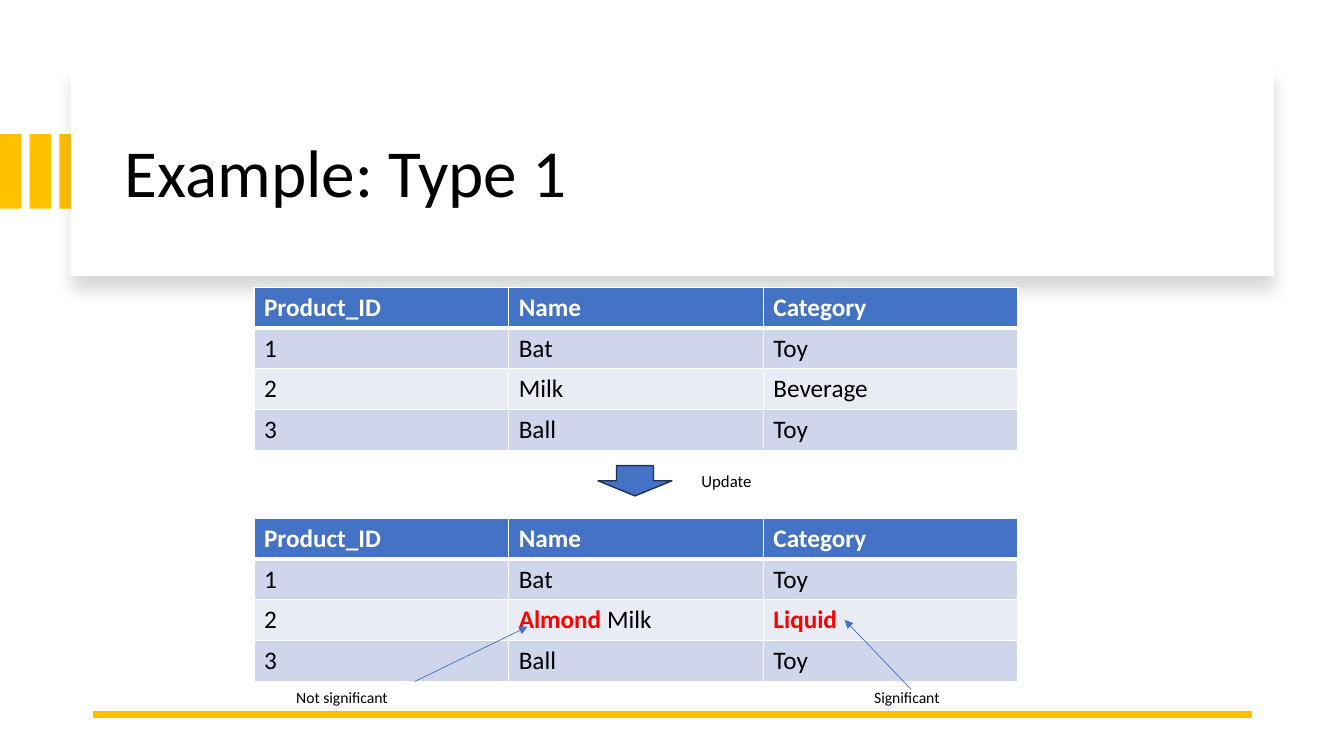
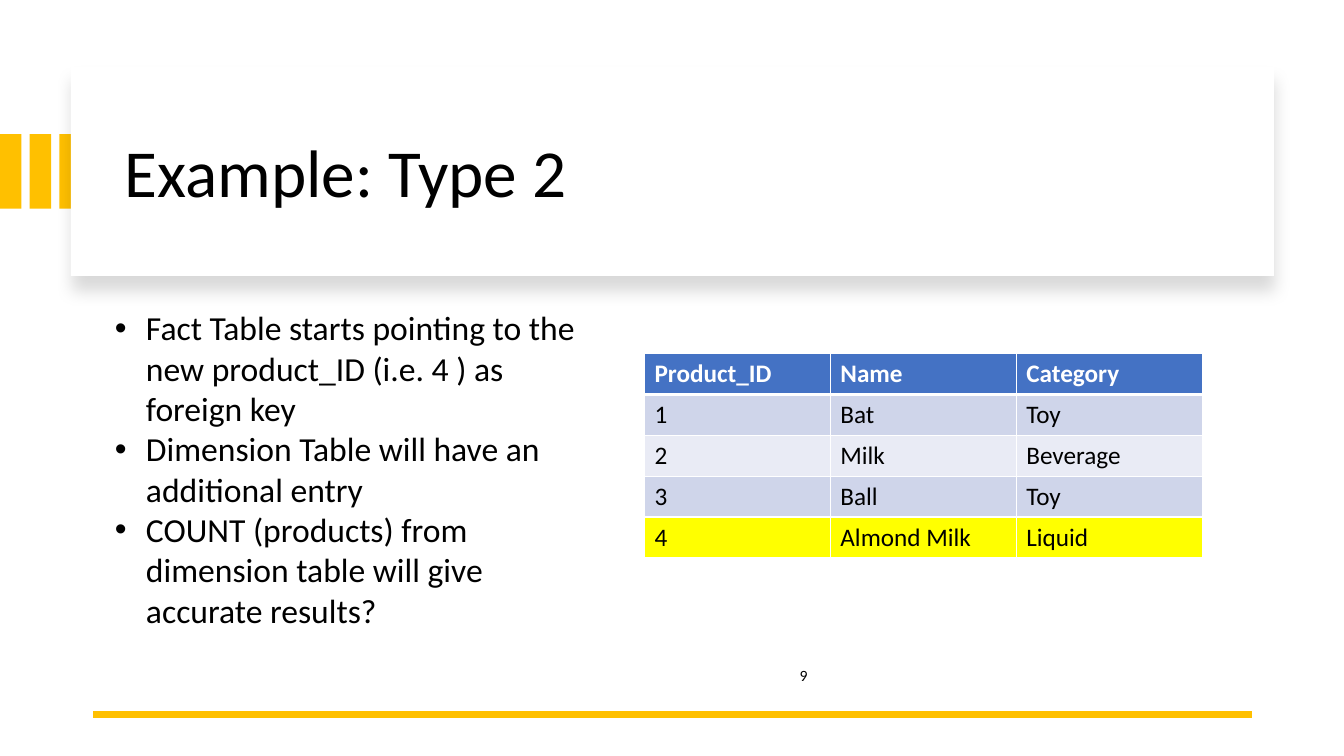
from dataclasses import dataclass
from typing import Any, NamedTuple

from lxml import etree
from pptx import Presentation
from pptx import util as u
from pptx.dml.color import RGBColor
from pptx.enum import shapes, text
from pptx.oxml import ns

WIDTH, HEIGHT = u.Inches(13.33), u.Inches(7.5)
FONT = "Calibri"
BLACK, WHITE, RED, YELLOW = "000000", "FFFFFF", "FF0000", "FFFF00"
GOLD, BLUE, NAVY = "FFC000", "4472C4", "1E3256"
BANDS = ("CFD5EA", "E9EBF5")
ROW_HEIGHT = 5.4
CAPTION_SIZE = 11.2


class Point(NamedTuple):
    """A place in percent of the slide's width and height."""
    x: float
    y: float


class Box(NamedTuple):
    """A frame in percent of the slide's width and height."""
    left: float
    top: float
    width: float
    height: float


@dataclass(frozen=True)
class Run:
    text: str
    color: str = BLACK
    bold: bool = False


@dataclass(frozen=True)
class Label:
    text: str
    box: Box
    size: float = CAPTION_SIZE


@dataclass(frozen=True)
class Pointer:
    start: Point
    end: Point


Cell = str | tuple[Run, ...]
Row = tuple[Cell, ...]

HEADER: Row = ("Product_ID", "Name", "Category")
BAT: Row = ("1", "Bat", "Toy")
MILK: Row = ("2", "Milk", "Beverage")
BALL: Row = ("3", "Ball", "Toy")
UPDATED_MILK: Row = (
    "2",
    (Run("Almond ", RED, True), Run("Milk")),
    (Run("Liquid", RED, True),),
)
ADDED_MILK: Row = ("4", "Almond Milk", "Liquid")

BULLETS = (
    "Fact Table starts pointing to the new product_ID (i.e. 4 ) as  foreign key",
    "Dimension Table will have an additional entry",
    "COUNT (products) from dimension table will give accurate results?",
)
LABELS = (
    Label("Not significant", Box(21.3, 90.3, 10.4, 3.9)),
    Label("Significant", Box(64.3, 90.3, 10.4, 3.9)),
    Label("Update", Box(51.45, 61.6, 9.15, 4), 12),
)
POINTERS = (
    Pointer(Point(30.85, 90.15), Point(39.25, 82.9)),
    Pointer(Point(67.8, 91.2), Point(62.85, 82)),
)


def rgb(color: str) -> RGBColor:
    return RGBColor.from_string(color)


def across(share: float) -> int:
    return round(WIDTH * share / 100)


def down(share: float) -> int:
    return round(HEIGHT * share / 100)


def place(box: Box) -> tuple[int, int, int, int]:
    return across(box.left), down(box.top), across(box.width), down(box.height)


def apply(target: Any, values: dict[str, Any]) -> None:
    for name, value in values.items():
        setattr(target, name, value)


def add_child(parent: Any, tag: str, **attributes: Any) -> Any:
    values = {name: str(value) for name, value in attributes.items()}
    return etree.SubElement(parent, ns.qn(f"a:{tag}"), values)


def paint(fill: Any, color: str) -> None:
    fill.solid()
    fill.fore_color.rgb = rgb(color)


def write(paragraph: Any, content: Cell, size: float,
          color: str = BLACK, bold: bool = False) -> None:
    pieces = (Run(content, color, bold),) if isinstance(content, str) else content
    for piece in pieces:
        run = paragraph.add_run()
        run.text = piece.text
        apply(run.font, {"name": FONT, "size": u.Pt(size), "bold": piece.bold})
        run.font.color.rgb = rgb(piece.color)


def add_shape(slide: Any, kind: shapes.MSO_SHAPE, box: Box, fill: str,
              outline: str | None = None) -> Any:
    shape = slide.shapes.add_shape(kind, *place(box))
    shape.shadow.inherit = False
    paint(shape.fill, fill)
    if outline:
        paint(shape.line.fill, outline)
        shape.line.width = u.Pt(1)
    else:
        shape.line.fill.background()
    return shape


def add_text(slide: Any, box: Box, lines: tuple[str, ...], size: float,
             anchor: text.MSO_ANCHOR = text.MSO_ANCHOR.TOP,
             **spacing: Any) -> Any:
    frame = slide.shapes.add_textbox(*place(box)).text_frame
    apply(frame, {"word_wrap": True, "vertical_anchor": anchor})
    for index, line in enumerate(lines):
        paragraph = frame.add_paragraph() if index else frame.paragraphs[0]
        apply(paragraph, spacing)
        write(paragraph, line, size)
    return frame


def add_line(slide: Any, start: Point, end: Point, color: str, width: float,
             arrow: bool = False) -> None:
    line = slide.shapes.add_connector(
        shapes.MSO_CONNECTOR.STRAIGHT,
        across(start.x), down(start.y), across(end.x), down(end.y))
    paint(line.line.fill, color)
    line.line.width = u.Pt(width)
    if arrow:
        add_child(line.line._get_or_add_ln(), "tailEnd", type="triangle")
    add_child(line._element.spPr, "effectLst")


def add_borders(cell: Any, bottom: float) -> None:
    properties = cell._tc.get_or_add_tcPr()
    for side, width in {"L": 1, "R": 1, "T": 1, "B": bottom}.items():
        border = add_child(properties, f"ln{side}", w=u.Pt(width))
        add_child(add_child(border, "solidFill"), "srgbClr", val=WHITE)


def add_product_table(slide: Any, left: float, top: float, width: float,
                      rows: tuple[Row, ...], highlight: Row | None = None) -> None:
    box = Box(left, top, width, ROW_HEIGHT * (len(rows) + 1))
    table = slide.shapes.add_table(len(rows) + 1, len(HEADER), *place(box)).table
    for row_index, row in enumerate((HEADER, *rows)):
        is_header = row_index == 0
        fill = BLUE if is_header else BANDS[(row_index - 1) % 2]
        if row is highlight:
            fill = YELLOW
        for column_index, content in enumerate(row):
            cell = table.cell(row_index, column_index)
            add_borders(cell, 3 if is_header else 1)
            paint(cell.fill, fill)
            write(cell.text_frame.paragraphs[0], content, 18,
                  WHITE if is_header else BLACK, is_header)


def add_panel(slide: Any) -> None:
    """Add the white title panel with its soft shadow below."""
    panel = add_shape(slide, shapes.MSO_SHAPE.RECTANGLE,
                      Box(5.28, 8.9, 89.5, 27.6), WHITE)
    effects = panel._element.spPr.find(ns.qn("a:effectLst"))
    shadow = add_child(effects, "outerShdw", blurRad=u.Pt(11), dist=u.Pt(10),
                       dir=90 * 60000, algn="t", rotWithShape=0)
    color = add_child(shadow, "srgbClr", val=BLACK)
    add_child(color, "alpha", val=15000)


def add_base_slide(presentation: Any, title: str) -> Any:
    slide = presentation.slides.add_slide(presentation.slide_layouts[6])
    paint(slide.background.fill, WHITE)
    for index in range(3):
        add_shape(slide, shapes.MSO_SHAPE.RECTANGLE,
                  Box(2.21 * index, 17.75, 1.6, 9.85), GOLD)
    add_panel(slide)
    add_text(slide, Box(8.55, 11.87, 83.5, 22.67), (title,), 48,
             text.MSO_ANCHOR.MIDDLE, line_spacing=0.9)
    add_line(slide, Point(93.15, 94.5), Point(6.9, 94.5), GOLD, 4.5)
    return slide


def add_bullets(slide: Any, box: Box, lines: tuple[str, ...]) -> None:
    indent = u.Inches(0.31)
    for paragraph in add_text(slide, box, lines, 24).paragraphs:
        properties = paragraph._p.get_or_add_pPr()
        properties.set("marL", str(indent))
        properties.set("indent", str(-indent))
        add_child(properties, "buFont", typeface="Arial")
        add_child(properties, "buChar", char="•")


def add_overwrite_slide(presentation: Any) -> None:
    slide = add_base_slide(presentation, "Example: Type 1")
    add_product_table(slide, 18.9, 38, 56.85, (BAT, MILK, BALL))
    add_product_table(slide, 18.9, 68.55, 56.85, (BAT, UPDATED_MILK, BALL))
    for pointer in POINTERS:
        add_line(slide, pointer.start, pointer.end, BLUE, 0.5, arrow=True)
    add_shape(slide, shapes.MSO_SHAPE.DOWN_ARROW,
              Box(44.5, 61.6, 5.5, 4), BLUE, NAVY)
    for label in LABELS:
        add_text(slide, label.box, (label.text,), label.size,
                 space_after=u.Pt(6))


def add_new_row_slide(presentation: Any) -> None:
    slide = add_base_slide(presentation, "Example: Type 2")
    add_product_table(slide, 47.95, 46.8, 41.5,
                      (BAT, MILK, BALL, ADDED_MILK), highlight=ADDED_MILK)
    add_text(slide, Box(58.75, 87.45, 14, 3.3), ("9",), CAPTION_SIZE,
             space_after=u.Pt(6))
    add_bullets(slide, Box(7.8, 40, 37.4, 44.4), BULLETS)


def main() -> None:
    presentation = Presentation()
    apply(presentation, {"slide_width": WIDTH, "slide_height": HEIGHT})
    add_overwrite_slide(presentation)
    add_new_row_slide(presentation)
    presentation.save("out.pptx")


if __name__ == "__main__":
    main()
